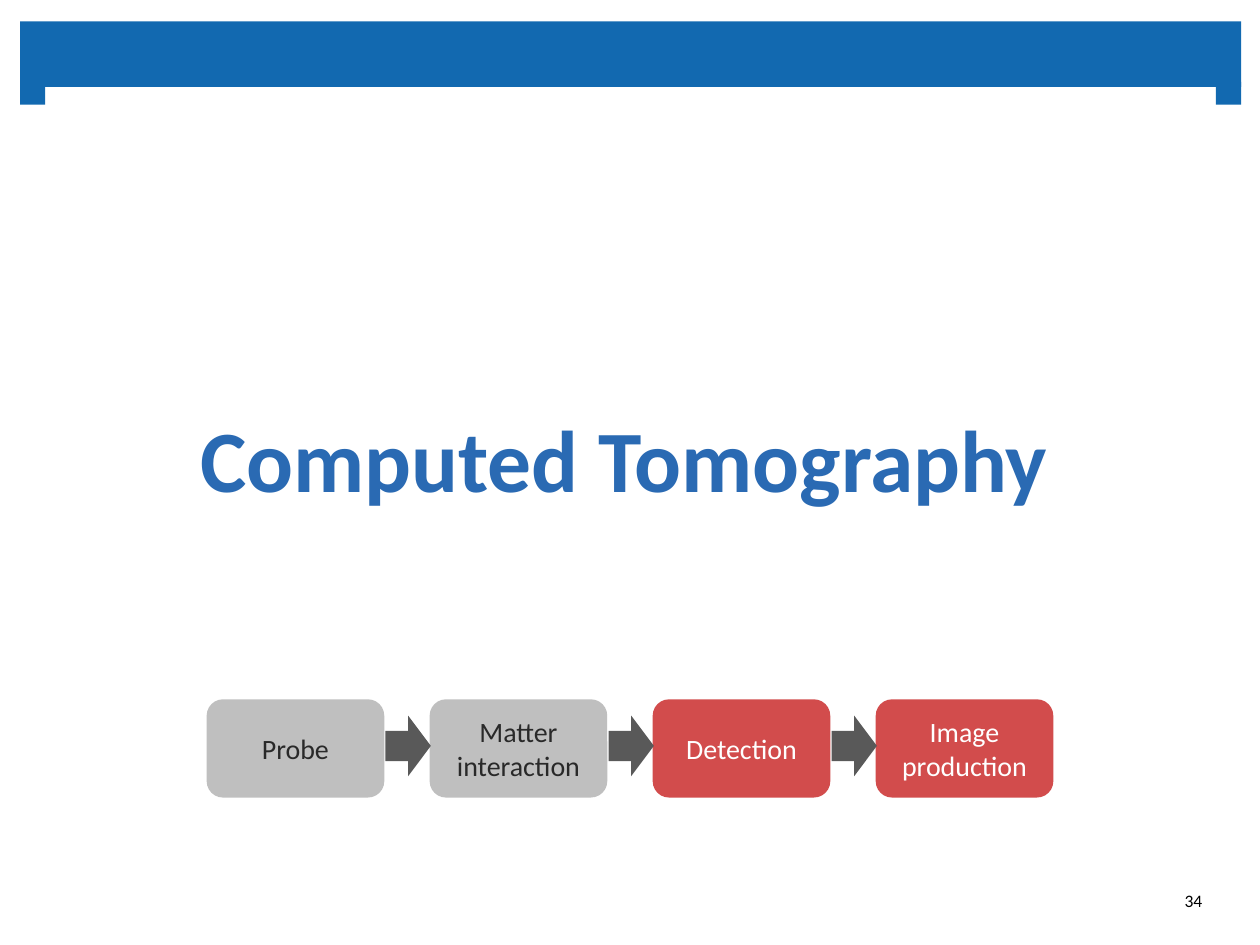
import pptx
import pptx.dml.color
import pptx.enum.shapes
import pptx.enum.text
import pptx.oxml
import pptx.oxml.ns
import pptx.util

SHAPES = pptx.enum.shapes.MSO_SHAPE
ALIGN = pptx.enum.text.PP_ALIGN
COLUMNS, ROWS = 100, 75
BLUE, GREY, RED, DARK = "1269B0", "BFBFBF", "C00000", "595959"

deck = pptx.Presentation()
deck.slide_width = pptx.util.Inches(10)
deck.slide_height = pptx.util.Inches(7.5)
column = deck.slide_width / COLUMNS
row = deck.slide_height / ROWS


def colour(hex_value):
    return pptx.dml.color.RGBColor.from_string(hex_value)


def place(left, top, width, height):
    return [round(n) for n in (left * column, top * row, width * column, height * row)]


def write(part, words, size=16, ink="000000", bold=False, align=ALIGN.CENTER, inset=(0, 0)):
    frame = part.text_frame
    frame.word_wrap = True
    frame.auto_size = pptx.enum.text.MSO_AUTO_SIZE.NONE
    frame.vertical_anchor = pptx.enum.text.MSO_ANCHOR.MIDDLE
    frame.margin_left = frame.margin_right = pptx.util.Inches(inset[0])
    frame.margin_top = frame.margin_bottom = pptx.util.Inches(inset[1])
    paragraph = frame.paragraphs[0]
    paragraph.text = words
    paragraph.alignment = align
    for run in paragraph.runs:
        run.font.name = "Calibri"
        run.font.size = pptx.util.Pt(size)
        run.font.bold = bold
        run.font.color.rgb = colour(ink)


def draw(slide, preset, box, fill, opacity=100):
    part = slide.shapes.add_shape(preset, *place(*box))
    part.shadow.inherit = False
    part.fill.solid()
    part.fill.fore_color.rgb = colour(fill)
    part.line.fill.background()
    if opacity < 100:
        tint = part.fill._xPr.find(".//" + pptx.oxml.ns.qn("a:srgbClr"))
        alpha = pptx.oxml.parse_xml(f'<a:alpha {pptx.oxml.ns.nsdecls("a")} val="{opacity * 1000}"/>')
        tint.append(alpha)
    return part


def add_banner(slide, left, top, width, height):
    bar, leg, overlap = 5.2, 2, 0.4
    draw(slide, SHAPES.RECTANGLE, (left, top, width, bar), BLUE)
    for leg_left in (left, left + width - leg):
        draw(slide, SHAPES.RECTANGLE,
             (leg_left, top + bar - overlap, leg, height - bar + overlap), BLUE)


def add_title(slide, *box):
    title = slide.shapes.title
    title.left, title.top, title.width, title.height = place(*box)
    write(title, "Computed Tomography", size=50, ink="2A6AB3", bold=True, inset=(0, 0.08))


def add_process(slide, left, top, width, height):
    stages = [("Probe", False), ("Matter\ninteraction", False),
              ("Detection", True), ("Image\nproduction", True)]
    stage_width, arrow_width, arrow_height = 14.1, 3.6, 4.8
    pitch = (width - stage_width) / (len(stages) - 1)
    for index, (words, active) in enumerate(stages):
        stage = draw(slide, SHAPES.ROUNDED_RECTANGLE,
                     (left + index * pitch, top, stage_width, height),
                     RED if active else GREY, opacity=70 if active else 100)
        write(stage, words, ink="FFFFFF" if active else "292929")
    for index in range(1, len(stages)):
        draw(slide, SHAPES.RIGHT_ARROW,
             (left + index * pitch - arrow_width + 0.1, top + 1.3, arrow_width, arrow_height), DARK)


def add_page_number(slide, *box):
    number = slide.shapes.add_textbox(*place(*box))
    write(number, "34", size=10, align=ALIGN.RIGHT, inset=(0.1, 0.05))


def main():
    slide = deck.slides.add_slide(deck.slide_layouts[5])
    add_banner(slide, 1.6, 1.7, 96.9, 6.6)
    add_title(slide, 3.5, 24.1, 92.1, 24.4)
    add_process(slide, 16.4, 55.5, 67.2, 7.8)
    add_page_number(slide, 73.9, 69.5, 22.5, 4)
    deck.save("out.pptx")


if __name__ == "__main__":
    main()
